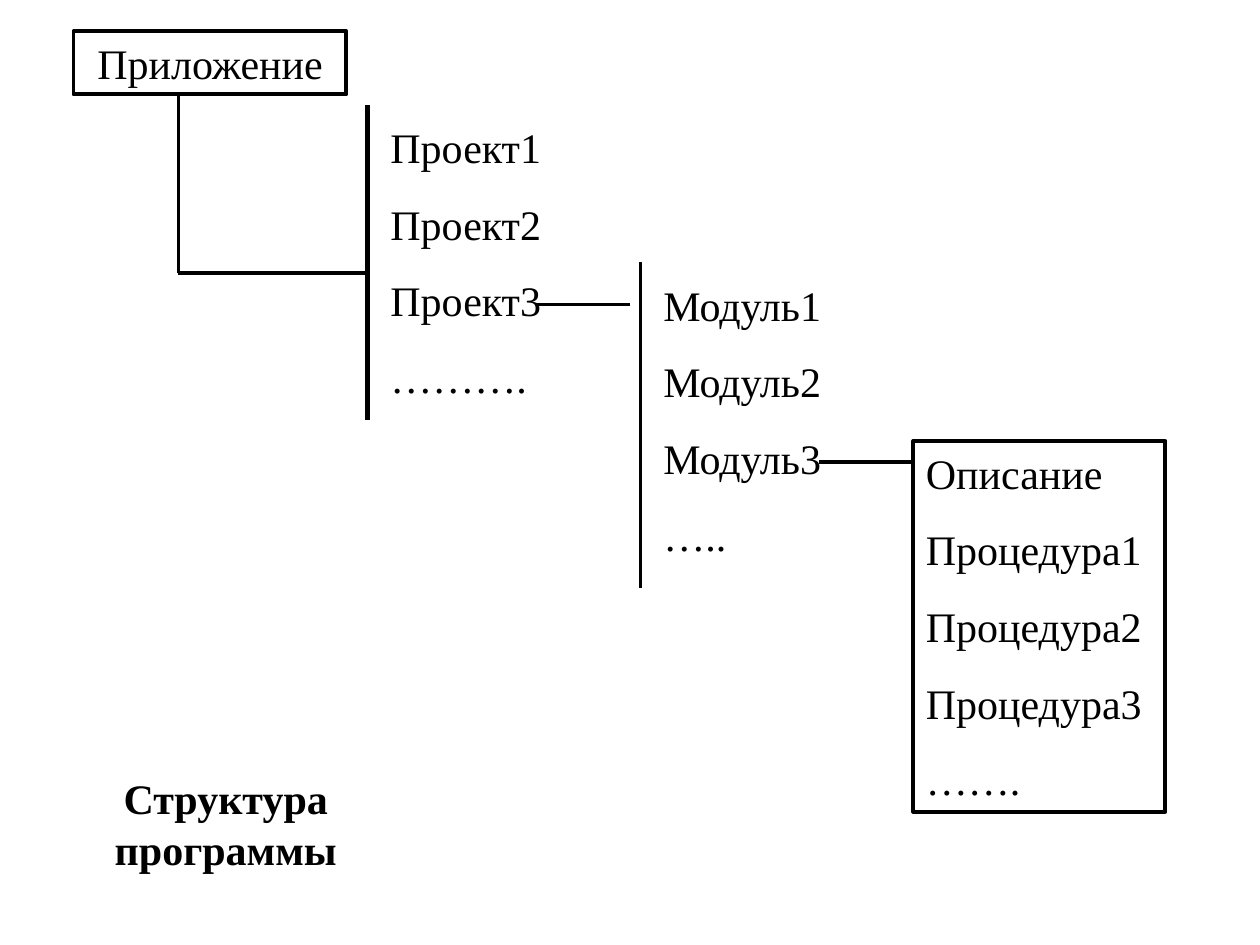
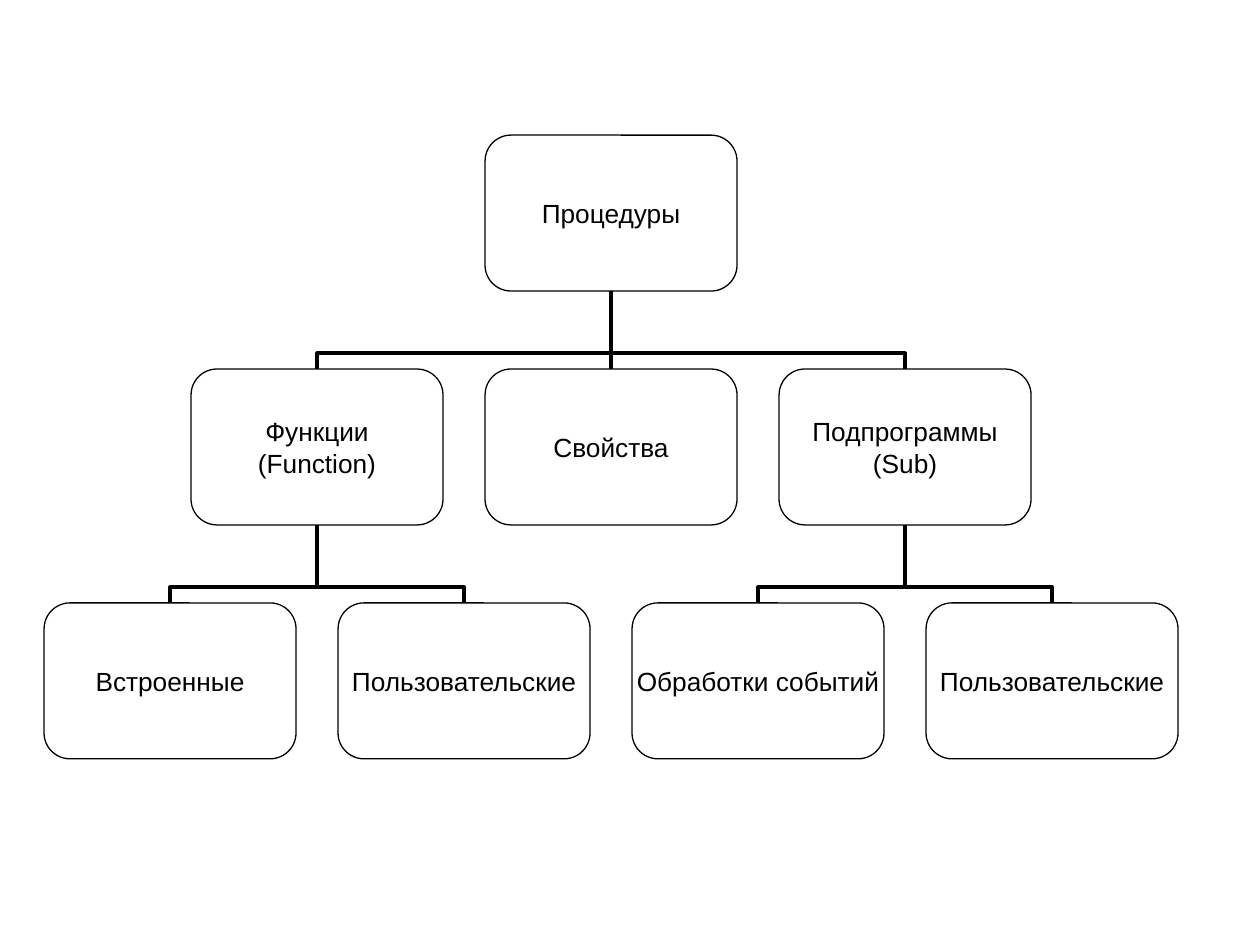
from dataclasses import dataclass

from lxml.etree import SubElement
from pptx import Presentation
from pptx.dml.color import RGBColor
from pptx.enum.shapes import MSO_CONNECTOR as Route, MSO_SHAPE as Preset
from pptx.enum.text import MSO_ANCHOR as Anchor, MSO_AUTO_SIZE as Fit, PP_ALIGN as Align
from pptx.oxml.ns import qn
from pptx.util import Inches, Pt


@dataclass(frozen=True)
class Theme:
    """Colours, fonts, type sizes and line widths in points."""
    ink: RGBColor = RGBColor(0, 0, 0)
    outline_font: str = "Times New Roman"
    tree_font: str = "Arial"
    outline_size: int = 24
    tree_size: int = 15
    paragraph_gap: int = 15
    thin: float = 0.75
    medium: float = 2.25
    thick: float = 3


THEME = Theme()
WIDTH, HEIGHT = Inches(10), Inches(7.5)
CELL = WIDTH / 120

TREE_LEFT, TREE_TOP = WIDTH * 0.035, HEIGHT * 0.143
TREE_WIDTH, TREE_HEIGHT = WIDTH * 0.9, HEIGHT * 0.66
NODE_WIDTH, NODE_HEIGHT = TREE_WIDTH / 4.5, TREE_HEIGHT / 4
COLUMN_STEP, ROW_STEP = NODE_WIDTH * 7 / 6, NODE_HEIGHT * 1.5
ELBOW_SHARE = 0.2

BRANCHES = [
    ("Функции\n(Function)", ["Встроенные", "Пользовательские"]),
    ("Свойства", []),
    ("Подпрограммы\n(Sub)", ["Обработки событий", "Пользовательские"]),
]


def cells(*counts):
    """Turn counts of grid cells into lengths."""
    return [round(count * CELL) for count in counts]


def write(frame, text, *, font=THEME.outline_font, size=THEME.outline_size,
          bold=False, align=Align.LEFT, anchor=Anchor.TOP, gap=THEME.paragraph_gap,
          wrap=True, fit=Fit.SHAPE_TO_FIT_TEXT, inset=None):
    """Fill a text frame with one paragraph per line of text."""
    frame.text = text
    frame.word_wrap = wrap
    frame.auto_size = fit
    frame.vertical_anchor = anchor
    if inset is not None:
        frame.margin_left = frame.margin_right = inset
        frame.margin_top = frame.margin_bottom = inset
    for paragraph in frame.paragraphs:
        paragraph.alignment = align
        paragraph.space_before = Pt(gap)
        for run in paragraph.runs:
            run.font.name = font
            run.font.size = Pt(size)
            run.font.bold = bold
            run.font.color.rgb = THEME.ink


def add_list(slide, place, text, **text_format):
    """Add an unframed list on the cell grid."""
    write(slide.shapes.add_textbox(*cells(*place)).text_frame, text, **text_format)


def add_frame(slide, preset, place, text, weight, **text_format):
    """Add an unfilled outlined shape with text."""
    frame = slide.shapes.add_shape(preset, *place)
    frame.shadow.inherit = False
    frame.fill.background()
    frame.line.color.rgb = THEME.ink
    frame.line.width = Pt(weight)
    write(frame.text_frame, text, **text_format)
    return frame


def add_link(slide, start, end, weight=THEME.medium, route=Route.STRAIGHT):
    """Draw a connector without shadow between two points."""
    link = slide.shapes.add_connector(route, *start, *end)
    link.line.color.rgb = THEME.ink
    link.line.width = Pt(weight)
    SubElement(link._element.spPr, qn("a:effectLst"))
    return link


def add_node(slide, column, row, text):
    """Add a rounded node of the tree at a column and row."""
    place = [round(length) for length in (
        TREE_LEFT + column * COLUMN_STEP, TREE_TOP + row * ROW_STEP,
        NODE_WIDTH, NODE_HEIGHT)]
    return add_frame(slide, Preset.ROUNDED_RECTANGLE, place, text, THEME.thin,
                     font=THEME.tree_font, size=THEME.tree_size, gap=0, inset=0,
                     align=Align.CENTER, anchor=Anchor.MIDDLE, wrap=False, fit=Fit.NONE)


def join(slide, child, parent):
    """Link the top of a child node to the bottom of its parent."""
    start = child.left + child.width // 2, child.top
    end = parent.left + parent.width // 2, parent.top + parent.height
    aligned = abs(start[0] - end[0]) < CELL
    link = add_link(slide, start, end, route=Route.STRAIGHT if aligned else Route.ELBOW)
    link.begin_connect(child, 0)
    link.end_connect(parent, 2)
    if not aligned:
        turn_upright(link, start, end)


def turn_upright(link, start, end):
    """Rotate an elbow so that it leaves and arrives vertically."""
    rise, run = start[1] - end[1], abs(start[0] - end[0])
    link.left = (start[0] + end[0] - rise) // 2
    link.top = (start[1] + end[1] - run) // 2
    link.width, link.height = rise, run
    from_left = start[0] < end[0]
    transform = link._element.spPr.find(qn("a:xfrm"))
    transform.set("rot", str((90 if from_left else 270) * 60000))
    transform.set("flipH", str(int(from_left)))
    transform.set("flipV", "1")
    guides = link._element.spPr.find(qn("a:prstGeom")).find(qn("a:avLst"))
    SubElement(guides, qn("a:gd"), name="adj1", fmla=f"val {round(ELBOW_SHARE * 100000)}")


def build_structure(slide):
    """Show how an application splits into projects, modules and procedures."""
    add_frame(slide, Preset.RECTANGLE, cells(7, 3, 26, 6), "Приложение",
              THEME.medium, align=Align.CENTER)
    add_list(slide, (36, 11, 20, 28), "Проект1\nПроект2\nПроект3\n……….")
    add_list(slide, (62, 26, 23, 28), "Модуль1\nМодуль2\nМодуль3\n…..")
    add_frame(slide, Preset.RECTANGLE, cells(87, 42, 24, 35.3),
              "Описание\nПроцедура1\nПроцедура2\nПроцедура3\n…….", THEME.medium)
    add_list(slide, (4, 73, 35, 10.8), "Структура программы", bold=True, align=Align.CENTER)
    for start, end, weight in [
        ((35, 10), (35, 40), THEME.thick),
        ((17, 9), (17, 26), THEME.medium),
        ((17, 26), (35, 26), THEME.medium),
        ((51, 29), (60, 29), THEME.medium),
        ((61, 25), (61, 56), THEME.medium),
        ((78, 44), (87, 44), THEME.medium),
    ]:
        add_link(slide, cells(*start), cells(*end), weight)


def build_procedures(slide):
    """Show the kinds of procedure as a tree."""
    root = add_node(slide, 1.5, 0, "Процедуры")
    leaf_column = 0
    for index, (title, leaves) in enumerate(BRANCHES):
        branch = add_node(slide, index + 0.5, 1, title)
        join(slide, branch, root)
        for leaf in leaves:
            join(slide, add_node(slide, leaf_column, 2, leaf), branch)
            leaf_column += 1


def main():
    """Build both slides and save them."""
    deck = Presentation()
    deck.slide_width, deck.slide_height = WIDTH, HEIGHT
    for build in (build_structure, build_procedures):
        build(deck.slides.add_slide(deck.slide_layouts[6]))
    deck.save("out.pptx")


if __name__ == "__main__":
    main()
